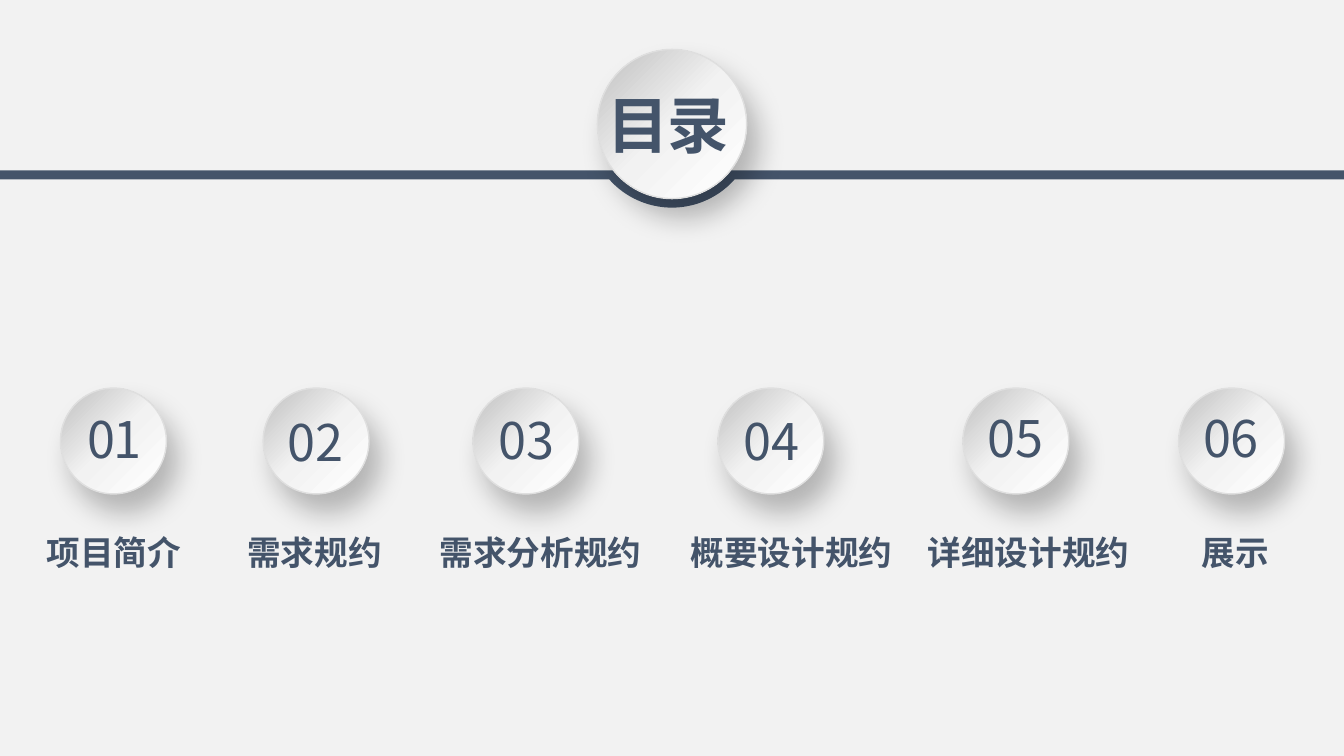
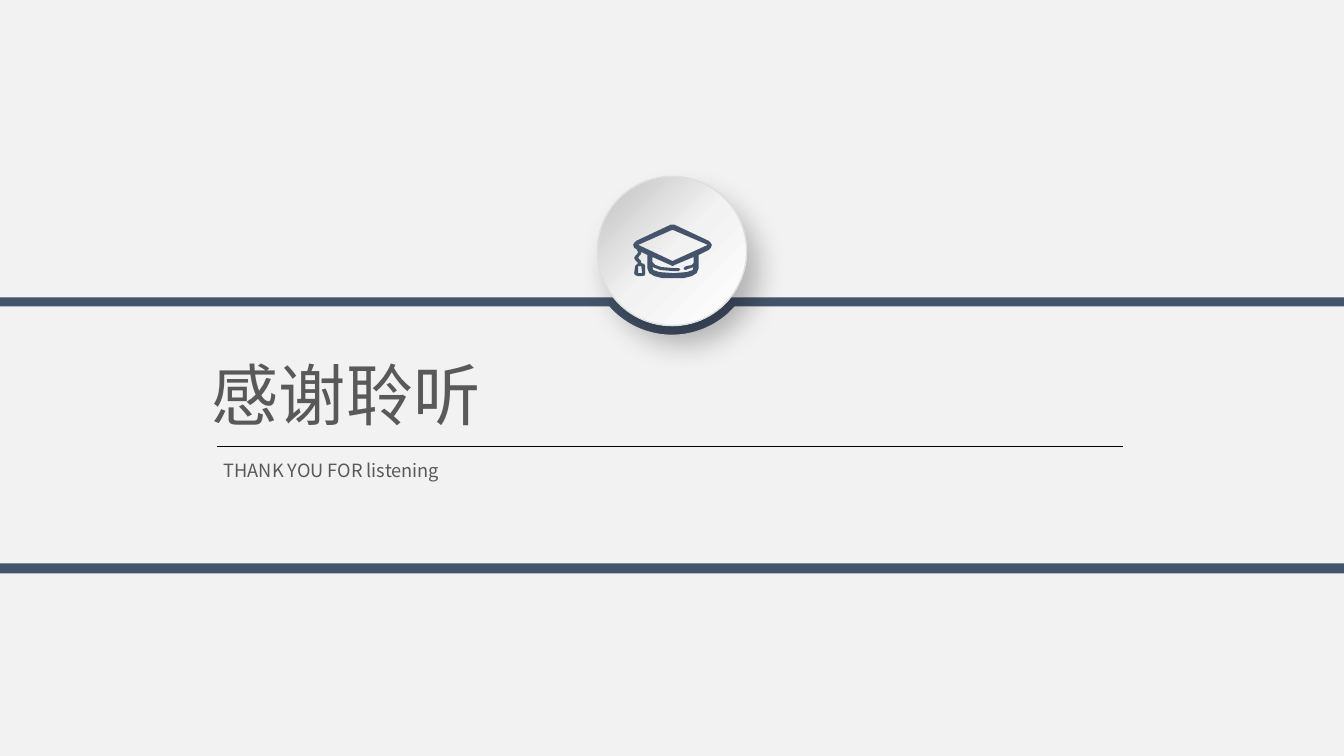
import copy
import math

import pptx
import pptx.dml.color
import pptx.enum.shapes
import pptx.enum.text
import pptx.oxml
import pptx.oxml.ns
import pptx.util

Inches = pptx.util.Inches
Pt = pptx.util.Pt
ALIGN = pptx.enum.text.PP_ALIGN
SHAPE = pptx.enum.shapes.MSO_SHAPE
qn = pptx.oxml.ns.qn

FONT = "Noto Sans CJK SC"
NAVY, GREY, PALE, BLACK = "44546A", "595959", "F2F2F2", "000000"
RIM = "DFDFDF"
GRADIENT = [(0, "BFBFBF"), (0.5, PALE), (1, "FFFFFF")]

WIDTH, HEIGHT = 13.33, 7.5
CENTRE = WIDTH / 2
BAND = 0.09
DISC = 1.48
DISC_EDGE = 0.83
SMALL_DISC, SMALL_TOP = 1.05, 3.85

# number, disc left, number left and top, letter spacing, label centre, label
CHAPTERS = [
    ("01", 0.6, 0.71, 4.0, -1.5, 1.13, "项目简介"),
    ("02", 2.61, 2.7, 4.03, 0, 3.12, "需求规约"),
    ("03", 4.69, 4.79, 4.01, 0, 5.36, "需求分析规约"),
    ("04", 7.12, 7.22, 4.02, 0, 7.85, "概要设计规约"),
    ("05", 9.55, 9.64, 3.99, 0, 10.2, "详细设计规约"),
    ("06", 11.69, 11.78, 3.99, 0, 12.25, "展示"),
]

CAP_OUTLINE = [
    (7.03, 2.39), (6.69, 2.23), (6.67, 2.23), (6.65, 2.23), (6.31, 2.39), (6.29, 2.41),
    (6.28, 2.43), (6.29, 2.46), (6.31, 2.47), (6.33, 2.5), (6.32, 2.52), (6.3, 2.54),
    (6.29, 2.56), (6.3, 2.58), (6.33, 2.61), (6.3, 2.64), (6.29, 2.71), (6.3, 2.73),
    (6.33, 2.74), (6.37, 2.74), (6.4, 2.73), (6.4, 2.64), (6.39, 2.62), (6.36, 2.61),
    (6.36, 2.59), (6.33, 2.56), (6.34, 2.54), (6.36, 2.52), (6.36, 2.5), (6.42, 2.53),
    (6.42, 2.66), (6.44, 2.71), (6.49, 2.74), (6.57, 2.76), (6.68, 2.76), (6.78, 2.76),
    (6.86, 2.74), (6.91, 2.71), (6.93, 2.66), (6.93, 2.53), (7.03, 2.48), (7.05, 2.46),
    (7.06, 2.43), (7.05, 2.41),
]
CAP_BOARD = [(6.67, 2.59), (6.33, 2.43), (6.67, 2.28), (7.02, 2.43)]
CAP_TASSEL = [(6.33, 2.71), (6.33, 2.64), (6.36, 2.64), (6.37, 2.71)]
CAP_BASE = [
    (6.88, 2.61), (6.86, 2.63), (6.81, 2.64), (6.79, 2.65), (6.78, 2.67), (6.8, 2.68),
    (6.82, 2.67), (6.88, 2.65), (6.87, 2.68), (6.81, 2.7), (6.68, 2.71), (6.54, 2.7),
    (6.48, 2.68), (6.47, 2.65), (6.55, 2.68), (6.68, 2.69), (6.73, 2.69), (6.75, 2.67),
    (6.73, 2.66), (6.68, 2.66), (6.56, 2.65), (6.5, 2.63), (6.47, 2.6), (6.47, 2.55),
    (6.65, 2.63), (6.67, 2.64), (6.69, 2.63), (6.88, 2.55),
]


def colour(code):
    return pptx.dml.color.RGBColor.from_string(code)


def fill_flat(shape, code):
    shape.shadow.inherit = False
    shape.fill.solid()
    shape.fill.fore_color.rgb = colour(code)
    shape.line.fill.background()


def add_outline(page, contours, code):
    """Draw closed contours, in inches, as one shape; inner contours are holes."""
    builder = None
    for contour in contours:
        points = [(Inches(x), Inches(y)) for x, y in contour]
        if builder is None:
            builder = page.shapes.build_freeform(*points[0])
        else:
            builder.move_to(*points[0])
        builder.add_line_segments(points[1:], close=True)
    fill_flat(builder.convert_to_shape(), code)


def add_bar(page, top, height):
    bar = page.shapes.add_shape(SHAPE.RECTANGLE, 0, Inches(top), Inches(WIDTH), Inches(height))
    fill_flat(bar, NAVY)


def add_disc(page, left, top, size):
    """Add a raised disc with a diagonal gradient and a soft shadow."""
    disc = page.shapes.add_shape(
        SHAPE.OVAL, Inches(left), Inches(top), Inches(size), Inches(size))
    disc.fill.gradient()
    disc.fill.gradient_angle = 315
    stop_list = disc.element.spPr.find(".//" + qn("a:gsLst"))
    stop_list.append(copy.deepcopy(stop_list[-1]))
    for stop, (position, code) in zip(disc.fill.gradient_stops, GRADIENT):
        stop.position = position
        stop.color.rgb = colour(code)
    disc.line.color.rgb = colour(RIM)
    disc.line.width = Pt(1)
    disc.shadow.inherit = False
    disc.element.spPr.find(qn("a:effectLst")).append(pptx.oxml.parse_xml(
        f'<a:outerShdw {pptx.oxml.ns.nsdecls("a")} blurRad="{Pt(20)}" dist="{Pt(15)}"'
        f' dir="{59 * 60000}" algn="ctr" rotWithShape="0"><a:srgbClr val="{BLACK}">'
        '<a:alpha val="25000"/></a:srgbClr></a:outerShdw>'))


def add_central_disc(page, top):
    add_disc(page, CENTRE - DISC / 2, top, DISC)


def bulging_edge(disc_top, y):
    """Return a full-width edge at y, from right to left, that dips below the disc."""
    middle = disc_top + DISC / 2
    start = math.asin((y - middle) / DISC_EDGE)
    steps = 40
    angles = [start + (math.pi - 2 * start) * step / steps for step in range(steps + 1)]
    bulge = [(CENTRE + DISC_EDGE * math.cos(angle), middle + DISC_EDGE * math.sin(angle))
             for angle in angles]
    return [(WIDTH, y), *bulge, (0, y)]


def write(box, text, size, code, align=ALIGN.CENTER, bold=False, spacing=0, wrap=True):
    frame = box.text_frame
    frame.margin_left = frame.margin_right = Inches(0.05)
    frame.margin_top = frame.margin_bottom = Inches(0.05)
    frame.auto_size = pptx.enum.text.MSO_AUTO_SIZE.NONE
    frame.vertical_anchor = pptx.enum.text.MSO_ANCHOR.TOP
    frame.word_wrap = wrap
    para = frame.paragraphs[0]
    para.text = text
    para.alignment = align
    para.font.size = Pt(size)
    para.font.bold = bold
    para.font.color.rgb = colour(code)
    para.font.name = FONT
    properties = para.font._rPr
    properties.set("spc", str(int(spacing * 100)))
    east_asian = properties.makeelement(qn("a:ea"), {"typeface": FONT})
    properties.find(qn("a:latin")).addnext(east_asian)


def add_text(page, left, top, width, height, *args, **style):
    box = page.shapes.add_textbox(Inches(left), Inches(top), Inches(width), Inches(height))
    write(box, *args, **style)


def place_title(page, left, top, width, height, *args, **style):
    """Move the title placeholder in front of the shapes drawn so far."""
    title = page.shapes.title
    title.left, title.top = Inches(left), Inches(top)
    title.width, title.height = Inches(width), Inches(height)
    write(title, *args, **style)
    page.shapes.element.append(title.element)


def add_rule(page, left, right, y):
    rule = page.shapes.add_connector(
        pptx.enum.shapes.MSO_CONNECTOR.STRAIGHT,
        Inches(left), Inches(y), Inches(right), Inches(y))
    rule.line.color.rgb = colour(BLACK)
    rule.line.width = Pt(0.5)
    properties = rule.element.spPr
    properties.append(properties.makeelement(qn("a:effectLst"), {}))


def add_page(deck):
    return deck.slides.add_slide(deck.slide_layouts.get_by_name("Title Only"))


def build_contents(page):
    disc_top, band_top = 0.49, 1.69
    band = [(0, band_top), (WIDTH, band_top), *bulging_edge(disc_top, band_top + BAND)]
    add_outline(page, [band], NAVY)
    add_central_disc(page, disc_top)
    place_title(page, 5.81, 0.81, 1.64, 0.96, "目录", 44, NAVY, bold=True, spacing=-1.5)
    label_width = 2.12
    for number, left, number_left, number_top, spacing, label_centre, label in CHAPTERS:
        add_disc(page, left, SMALL_TOP, SMALL_DISC)
        add_text(page, number_left, number_top, 0.86, 0.7, number, 36, NAVY, spacing=spacing)
        add_text(page, label_centre - label_width / 2, 5.23, label_width, 0.5,
                 label, 24, NAVY, bold=True, wrap=False)


def build_closing(page):
    disc_top, bar_top, panel_bottom = 1.75, 2.95, 5.59
    add_bar(page, bar_top, 2.74)
    panel = [*bulging_edge(disc_top, bar_top + BAND), (0, panel_bottom), (WIDTH, panel_bottom)]
    add_outline(page, [panel], PALE)
    add_central_disc(page, disc_top)
    place_title(page, 2.05, 3.46, 9.24, 0.91, "感谢聆听", 48, GREY, align=ALIGN.JUSTIFY)
    add_text(page, 2.17, 4.51, 9.01, 0.32, "THANK YOU FOR listening", 13, GREY,
             align=ALIGN.JUSTIFY)
    add_rule(page, 2.15, 11.14, 4.43)
    add_outline(page, [CAP_OUTLINE, CAP_BOARD, CAP_TASSEL, CAP_BASE], NAVY)


def main():
    deck = pptx.Presentation()
    deck.slide_width, deck.slide_height = Inches(WIDTH), Inches(HEIGHT)
    background = deck.slide_master.background.fill
    background.solid()
    background.fore_color.rgb = colour(PALE)
    build_contents(add_page(deck))
    build_closing(add_page(deck))
    deck.save("out.pptx")


if __name__ == "__main__":
    main()
